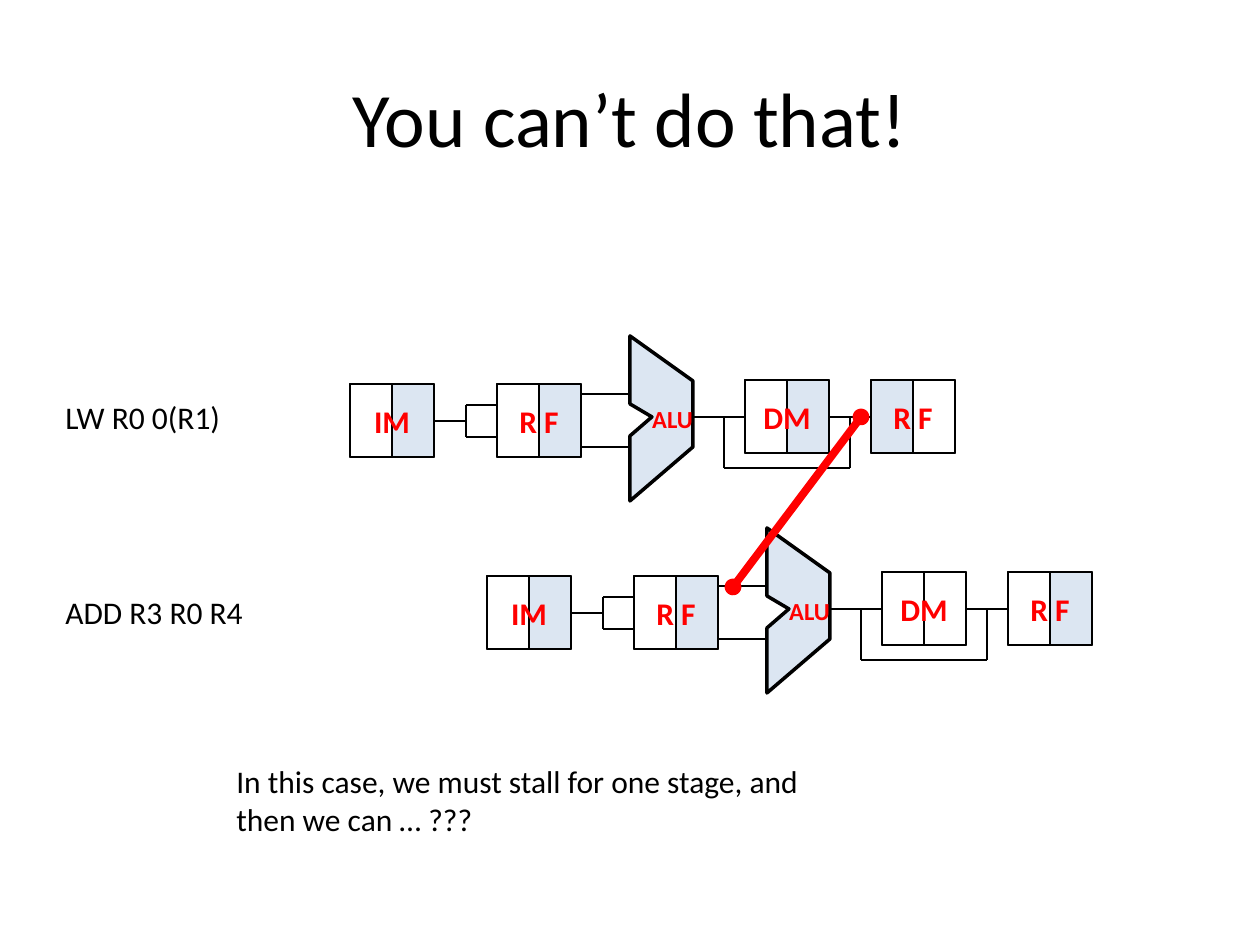
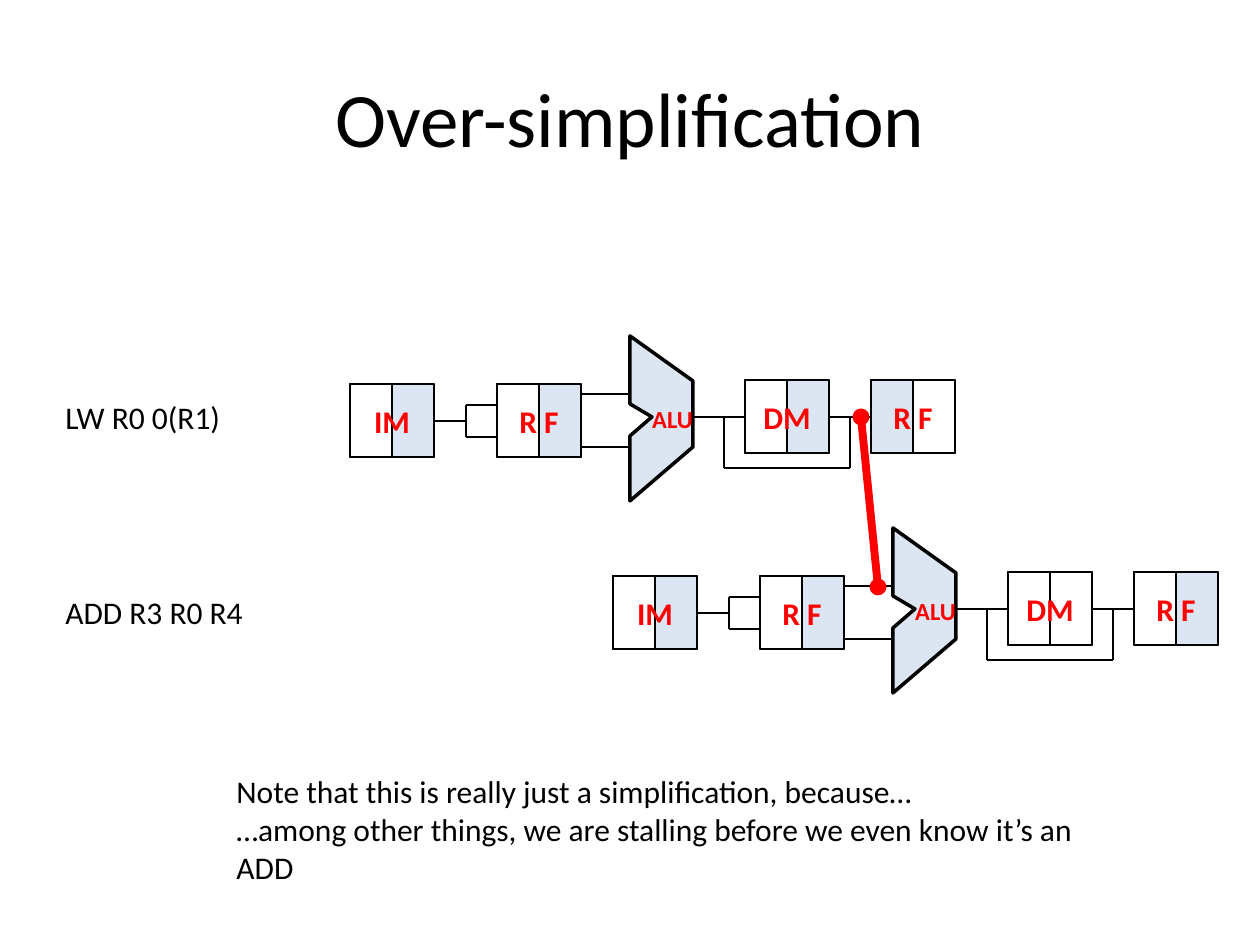
import pptx
import pptx.dml.color
import pptx.enum.shapes
import pptx.enum.text
import pptx.oxml
import pptx.util
from pptx.enum.shapes import MSO_CONNECTOR, MSO_SHAPE
from pptx.enum.text import MSO_ANCHOR, MSO_AUTO_SIZE, PP_ALIGN

PX_PER_INCH = 126
EMU_PER_PX = 914400 / PX_PER_INCH
FONT = "Calibri"
COLORS = {"ink": "000000", "active": "DCE6F2", "hazard": "FF0000"}

# Pipeline geometry, relative to the left end of a pipeline and the top of its ALU
HALF_W, STAGE_H = 42, 73
STAGE_W = 2 * HALF_W
STAGES = [("IM", 0, 48), ("R F", 147, 48), ("DM", 395, 44), ("R F", 521, 44)]
ALU_LEFT = 280
ALU_OUTLINE = [(0, 165), (63, 111), (63, 45), (0, 0), (0, 68), (22, 81), (0, 100)]
WIRES = [
    (84, 85, 116, 85), (116, 69, 147, 69), (116, 101, 147, 101), (116, 101, 116, 69),  # IM to RF
    (231, 58, 282, 58), (231, 111, 282, 111),                                          # RF to ALU
    (343, 81, 395, 81), (479, 81, 521, 81),                                            # ALU to DM to RF
    (374, 132, 374, 81), (500, 132, 500, 81), (374, 132, 500, 132),                    # memory bypass
]

# Which half of each stage is shaded: 0 left, 1 right, None neither
LOAD_ACTIVE = (1, 1, 1, 0)
ADD_ACTIVE = (1, 1, None, 1)

LOAD_ORIGIN = (350, 336)
ADD_TOP = 528
LOADED_VALUE = (861, 417)
DOT = 9


def emu(px):
    return pptx.util.Emu(round(px * EMU_PER_PX))


def box(left, top, width, height):
    return emu(left), emu(top), emu(width), emu(height)


def rgb(name):
    return pptx.dml.color.RGBColor.from_string(COLORS[name])


def style_text(paragraph, size, color="ink", bold=False, align=None):
    paragraph.alignment = align
    font = paragraph.font
    font.name, font.size, font.bold = FONT, pptx.util.Pt(size), bold
    font.color.rgb = rgb(color)


def style_shape(shape, fill=None, line="ink", weight=1.5):
    shape.shadow.inherit = False
    if fill:
        shape.fill.solid()
        shape.fill.fore_color.rgb = rgb(fill)
    else:
        shape.fill.background()
    shape.line.color.rgb = rgb(line)
    shape.line.width = pptx.util.Pt(weight)


def add_line(shapes, x1, y1, x2, y2, color="ink", weight=1.5):
    line = shapes.add_connector(MSO_CONNECTOR.STRAIGHT, emu(x1), emu(y1), emu(x2), emu(y2))
    line.line.color.rgb = rgb(color)
    line.line.width = pptx.util.Pt(weight)
    properties = line._element.spPr
    properties.append(properties.makeelement(pptx.oxml.ns.qn("a:effectLst"), {}))


def name_unit(shape, name, size, align):
    shape.text_frame.text = name
    shape.text_frame.vertical_anchor = MSO_ANCHOR.MIDDLE
    style_text(shape.text_frame.paragraphs[0], size, "hazard", True, align)


def add_stage(shapes, name, left, top, active_half):
    for half in range(2):
        cell = shapes.add_shape(MSO_SHAPE.RECTANGLE,
                                *box(left + half * HALF_W, top, HALF_W, STAGE_H))
        style_shape(cell, "active" if half == active_half else None)
    frame = shapes.add_shape(MSO_SHAPE.RECTANGLE, *box(left, top, STAGE_W, STAGE_H))
    style_shape(frame)
    name_unit(frame, name, 18, PP_ALIGN.CENTER)


def add_alu(shapes, left, top):
    outline = shapes.build_freeform(*ALU_OUTLINE[0], scale=EMU_PER_PX)
    outline.add_line_segments(ALU_OUTLINE[1:], close=True)
    alu = outline.convert_to_shape(emu(left), emu(top))
    style_shape(alu, "active", weight=2)
    frame = alu.text_frame
    frame.margin_left = frame.margin_right = frame.margin_top = frame.margin_bottom = 0
    name_unit(alu, "ALU", 14, PP_ALIGN.RIGHT)


def add_pipeline(slide, left, top, active_halves):
    shapes = slide.shapes.add_group_shape().shapes
    for (name, x, y), active_half in zip(STAGES, active_halves):
        add_stage(shapes, name, left + x, top + y, active_half)
    for x1, y1, x2, y2 in WIRES:
        add_line(shapes, left + x1, top + y1, left + x2, top + y2)
    add_alu(shapes, left + ALU_LEFT, top)


def add_note(slide, lines, left, top, width, height, wrap=True):
    frame = slide.shapes.add_textbox(*box(left, top, width, height)).text_frame
    frame.word_wrap = wrap
    frame.auto_size = MSO_AUTO_SIZE.SHAPE_TO_FIT_TEXT
    frame.text = "\n".join(lines)
    for paragraph in frame.paragraphs:
        style_text(paragraph, 18)


def add_forwarding(slide, source, target):
    add_line(slide.shapes, *source, *target, "hazard", 4.5)
    for x, y in (source, target):
        dot = slide.shapes.add_shape(MSO_SHAPE.OVAL, *box(x - DOT / 2, y - DOT / 2, DOT, DOT))
        style_shape(dot, "hazard", "hazard", 4.5)


def add_hazard_slide(deck, title, add_left, operand, caption, caption_box):
    slide = deck.slides.add_slide(deck.slide_layouts[5])

    # Title
    heading = slide.shapes.title
    heading.left, heading.top, heading.width, heading.height = box(63, 38, 1134, 157)
    heading.text_frame.text = title
    heading.text_frame.vertical_anchor = MSO_ANCHOR.MIDDLE
    style_text(heading.text_frame.paragraphs[0], 44, align=PP_ALIGN.CENTER)

    # Two instructions in the pipeline
    add_pipeline(slide, *LOAD_ORIGIN, LOAD_ACTIVE)
    add_pipeline(slide, add_left, ADD_TOP, ADD_ACTIVE)
    add_note(slide, ["LW R0 0(R1)"], 53, 392, 262, 50)
    add_note(slide, ["ADD R3 R0 R4"], 53, 587, 205, 50, wrap=False)

    # Conclusion and forwarding path
    add_note(slide, caption, *caption_box)
    add_forwarding(slide, LOADED_VALUE, operand)


def main():
    deck = pptx.Presentation()
    deck.slide_width, deck.slide_height = emu(1260), emu(945)
    add_hazard_slide(
        deck, "You can’t do that!", 487, (733, 587),
        ["In this case, we must stall for one stage, and then we can … ???"],
        (224, 756, 605, 89))
    add_hazard_slide(
        deck, "Over-simplification", 613, (878, 587),
        ["Note that this is really just a simplification, because…",
         "…among other things, we are stalling before we even know it’s an ADD"],
        (224, 766, 888, 127))
    deck.save("out.pptx")


if __name__ == "__main__":
    main()
